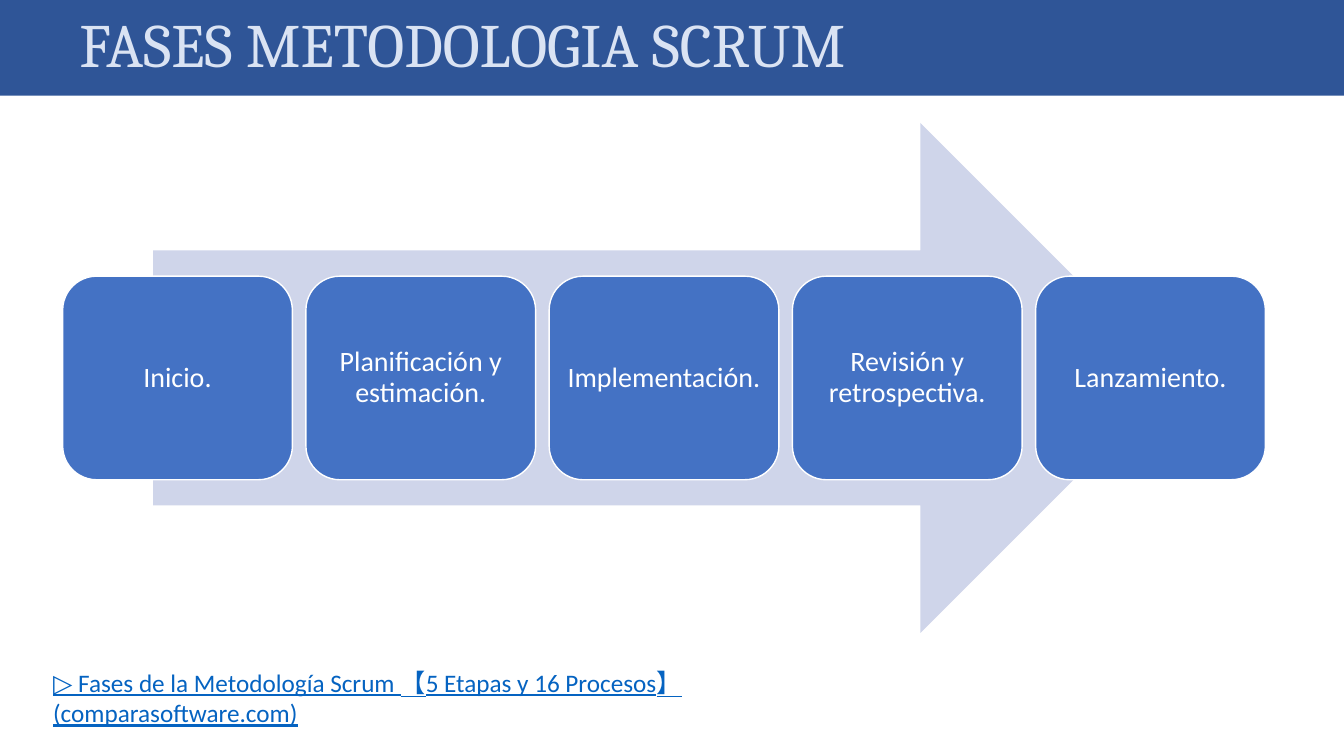
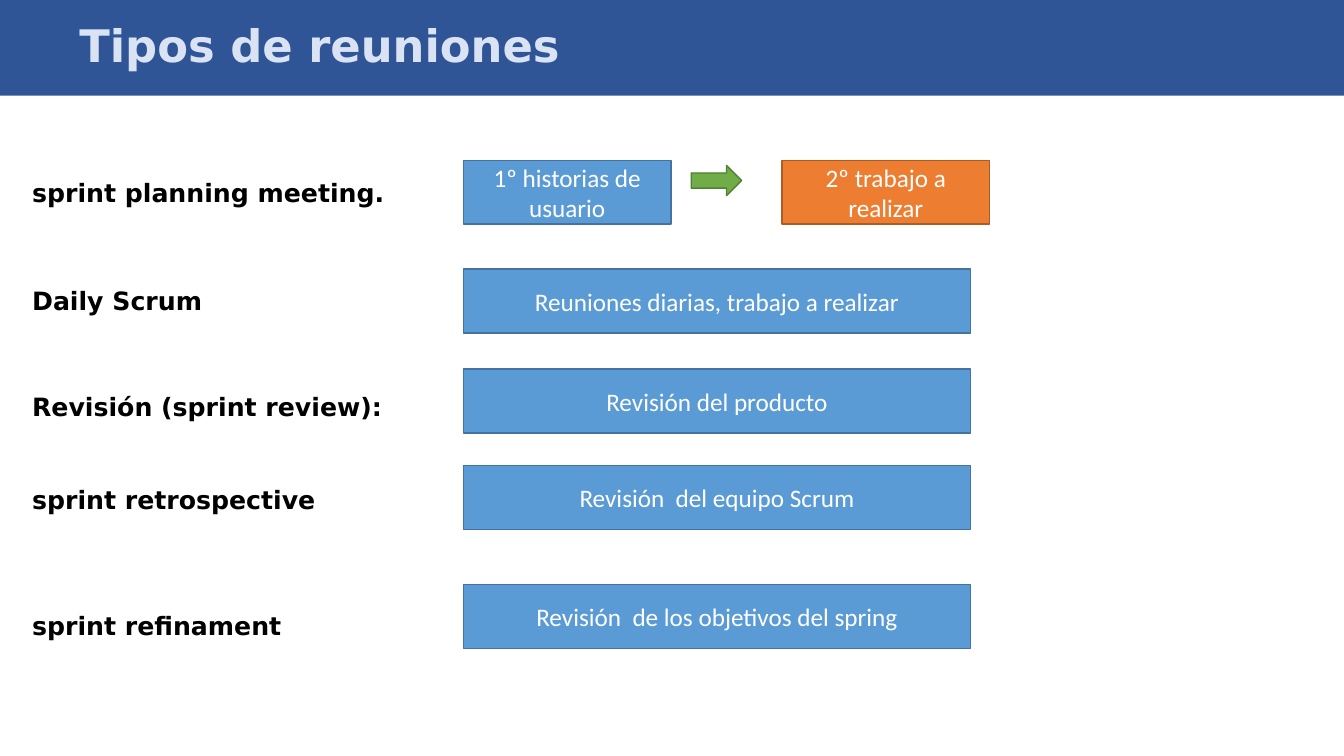
from dataclasses import dataclass

from pptx import Presentation
from pptx.dml.color import RGBColor
from pptx.enum.shapes import MSO_SHAPE
from pptx.enum.text import MSO_ANCHOR, PP_ALIGN
from pptx.util import Cm, Pt


@dataclass(frozen=True)
class Theme:
    """Colours, fonts and type sizes of the deck."""
    band: str = "2F5597"
    title: str = "DAE3F3"
    white: str = "FFFFFF"
    black: str = "000000"
    card: str = "4472C4"
    backdrop: str = "CFD5EA"
    blue: str = "5B9BD5"
    blue_line: str = "43739E"
    orange: str = "ED7D31"
    orange_line: str = "AF5C24"
    green: str = "70AD47"
    green_line: str = "538035"
    link: str = "0563C1"
    body_font: str = "Calibri"
    serif_font: str = "Cambria"
    label_font: str = "DejaVu Sans"
    serif_title_size: int = 44
    label_title_size: int = 32
    body_size: int = 18
    card_size: int = 20


T = Theme()
WIDTH, HEIGHT = 33.87, 19.05

PHASES = ["Inicio.", "Planificación y estimación.", "Implementación.",
          "Revisión y retrospectiva.", "Lanzamiento."]
SOURCE = "▷ Fases de la Metodología Scrum 【5 Etapas y 16 Procesos】 (comparasoftware.com)"
MEETINGS = [
    ("Daily Scrum", 7.06, "Reuniones diarias, trabajo a realizar", 6.78),
    ("Revisión (sprint review):", 9.73, "Revisión del producto", 9.3),
    ("sprint retrospective", 12.09, "Revisión  del equipo Scrum", 11.73),
    ("sprint refinament", 15.25, "Revisión  de los objetivos del spring", 14.73),
]


def write(sp, text, size, color, font=T.body_font, bold=False, underline=False,
          align=PP_ALIGN.LEFT, spacing=1.0):
    """Put one formatted paragraph in a shape."""
    tf = sp.text_frame
    tf.word_wrap = True
    p = tf.paragraphs[0]
    p.text = text
    p.alignment = align
    p.line_spacing = spacing
    for r in p.runs:
        r.font.name = font
        r.font.size = Pt(size)
        r.font.bold = bold
        r.font.underline = underline
        r.font.color.rgb = RGBColor.from_string(color)


def add_block(s, kind, x, y, w, h, fill, line=None):
    """Add a flat preset shape, outlined when a line colour is given."""
    sp = s.shapes.add_shape(kind, Cm(x), Cm(y), Cm(w), Cm(h))
    sp.shadow.inherit = False
    sp.fill.solid()
    sp.fill.fore_color.rgb = RGBColor.from_string(fill)
    if line:
        sp.line.color.rgb = RGBColor.from_string(line)
        sp.line.width = Pt(1)
    else:
        sp.line.fill.background()
    sp.text_frame.vertical_anchor = MSO_ANCHOR.MIDDLE
    return sp


def add_title(s, text, size, font, bold=False):
    """Add the title band across the top."""
    sp = add_block(s, MSO_SHAPE.RECTANGLE, 0, 0, WIDTH, 2.41, T.band)
    sp.text_frame.margin_left = Cm(2)
    write(sp, text, size, T.title, font, bold, spacing=0.9)


def add_text(s, x, y, w, h, text, **style):
    """Add a free text box in the body size."""
    sp = s.shapes.add_textbox(Cm(x), Cm(y), Cm(w), Cm(h))
    write(sp, text, T.body_size, **style)


def add_card(s, x, text):
    """Add one rounded phase card."""
    sp = add_block(s, MSO_SHAPE.ROUNDED_RECTANGLE, x, 6.96, 5.79, 5.13, T.card, T.white)
    sp.text_frame.margin_left = sp.text_frame.margin_right = Cm(0.1)
    write(sp, text, T.card_size, T.white, align=PP_ALIGN.CENTER, spacing=0.9)


def add_label(s, y, text):
    """Add the bold name of a meeting."""
    add_text(s, 0.56, y, 11, 1.02, text, color=T.black, font=T.label_font, bold=True)


def add_box(s, x, y, w, text, fill=T.blue, line=T.blue_line):
    """Add a rectangle that describes a meeting."""
    sp = add_block(s, MSO_SHAPE.RECTANGLE, x, y, w, 1.61, fill, line)
    write(sp, text, T.body_size, T.white, align=PP_ALIGN.CENTER)


def build_phases(s):
    """Build the slide of Scrum phases."""
    add_title(s, "FASES METODOLOGIA SCRUM", T.serif_title_size, T.serif_font)
    add_block(s, MSO_SHAPE.RIGHT_ARROW, 3.86, 3.1, 25.76, 12.85, T.backdrop)
    for i, phase in enumerate(PHASES):
        add_card(s, 1.58 + 6.13 * i, phase)
    add_text(s, 1.09, 16.69, 16.94, 1.8, SOURCE, color=T.link, underline=True)


def build_meetings(s):
    """Build the slide of meeting types."""
    left = 11.68
    add_title(s, "Tipos de reuniones", T.label_title_size, T.label_font, bold=True)
    add_label(s, 4.34, "sprint planning meeting.")
    add_box(s, left, 4.04, 5.23, "1º historias de usuario")
    add_block(s, MSO_SHAPE.RIGHT_ARROW, 17.42, 4.17, 1.27, 0.76, T.green, T.green_line)
    add_box(s, 19.71, 4.04, 5.23, "2º trabajo a realizar", T.orange, T.orange_line)
    for name, name_y, detail, detail_y in MEETINGS:
        add_label(s, name_y, name)
        add_box(s, left, detail_y, 12.78, detail)


def main():
    """Build and save the deck."""
    prs = Presentation()
    prs.slide_width, prs.slide_height = Cm(WIDTH), Cm(HEIGHT)
    for build in (build_phases, build_meetings):
        build(prs.slides.add_slide(prs.slide_layouts[6]))
    prs.save("out.pptx")


if __name__ == "__main__":
    main()
